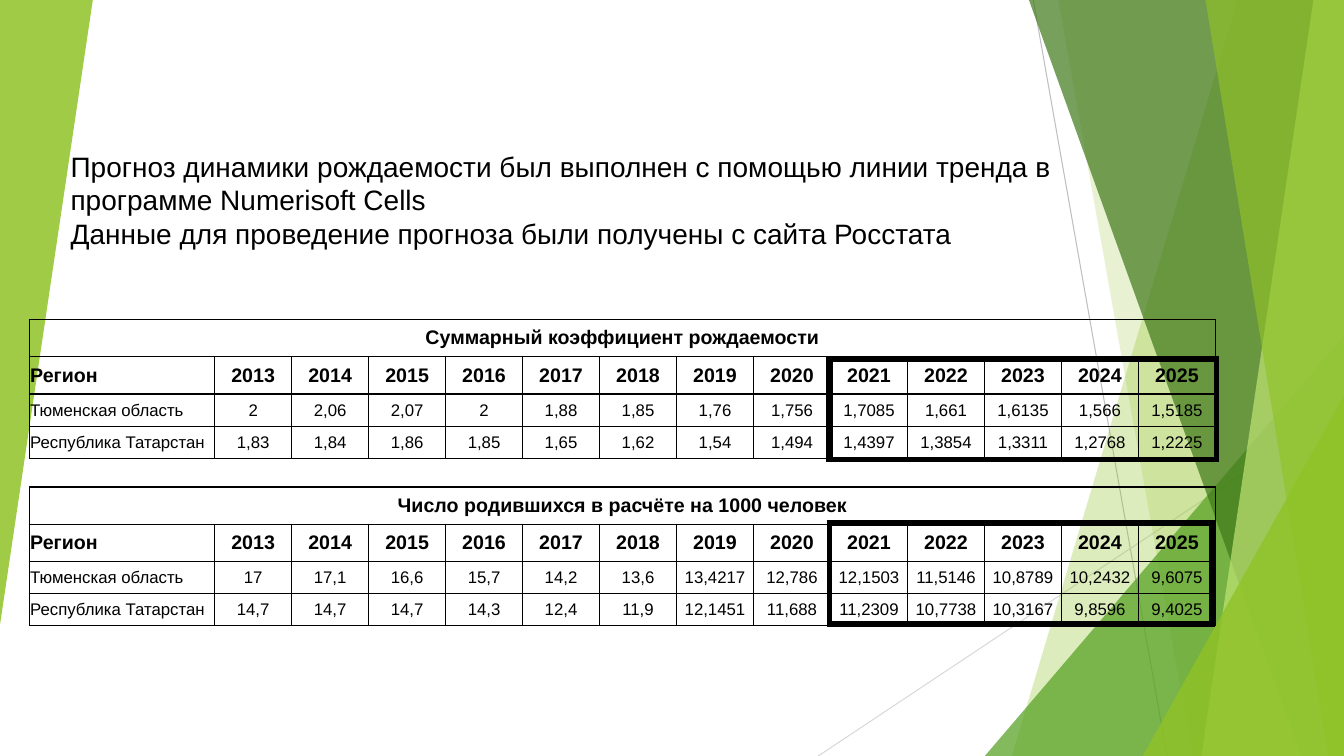
from lxml import etree
from pptx import Presentation
from pptx.dml.color import RGBColor
from pptx.enum.shapes import MSO_CONNECTOR
from pptx.enum.text import MSO_ANCHOR, PP_ALIGN
from pptx.oxml.ns import qn
from pptx.util import Cm, Pt

STRAIGHT = MSO_CONNECTOR.STRAIGHT
MIDDLE = MSO_ANCHOR.MIDDLE
LEFT, CENTER = PP_ALIGN.LEFT, PP_ALIGN.CENTER

BLACK = RGBColor(0x00, 0x00, 0x00)
LIME = RGBColor(0x90, 0xC2, 0x26)
GREEN = RGBColor(0x54, 0xA0, 0x21)
FOREST = RGBColor(0x3F, 0x78, 0x19)
PALE_LIME = RGBColor(0xC0, 0xE4, 0x74)
GREY = RGBColor(0xBF, 0xBF, 0xBF)
LIGHT_GREY = RGBColor(0xD9, 0xD9, 0xD9)

FONT = "Arial"
THIN, THICK = 1, 4.5
WIDTH, HEIGHT = 33.87, 19.05


def set_borders(cell, left=THIN, right=THIN, top=THIN, bottom=THIN):
    """Draw black cell borders, widths in points, and leave the cell unfilled."""
    cell.fill.background()
    properties = cell._tc.get_or_add_tcPr()
    sides = (("a:lnL", left), ("a:lnR", right), ("a:lnT", top), ("a:lnB", bottom))
    for position, (tag, points) in enumerate(sides):
        border = etree.Element(qn(tag), w=str(Pt(points)))
        fill = etree.SubElement(border, qn("a:solidFill"))
        etree.SubElement(fill, qn("a:srgbClr"), val=str(BLACK))
        properties.insert(position, border)


def add_plain_table(rows, columns, left, top, width, height):
    """Add a table without banding or header styling."""
    table = slide.shapes.add_table(
        rows, columns, Cm(left), Cm(top), Cm(width), Cm(height)).table
    table.first_row = False
    table.horz_banding = False
    return table


prs = Presentation()
prs.slide_width, prs.slide_height = Cm(WIDTH), Cm(HEIGHT)
slide = prs.slides.add_slide(prs.slide_layouts[6])

# Background rays and facets
rays = [
    (26.04, 0, 29.41, HEIGHT, GREY),
    (WIDTH, 10.24, 20.62, HEIGHT, LIGHT_GREY),
]
for x1, y1, x2, y2, color in rays:
    ray = slide.shapes.add_connector(STRAIGHT, Cm(x1), Cm(y1), Cm(x2), Cm(y2))
    ray.line.color.rgb = color
    ray.line.width = Pt(0.75)
    etree.SubElement(ray._element.spPr, qn("a:effectLst"))

TOP_RIGHT, BOTTOM_RIGHT = (WIDTH, 0), (WIDTH, HEIGHT)
facets = [
    ([(31.19, 0), TOP_RIGHT, BOTTOM_RIGHT, (25.5, HEIGHT)], LIME, 30),
    ([(26.67, 0), TOP_RIGHT, BOTTOM_RIGHT, (30.05, HEIGHT)], LIME, 20),
    ([(24.82, HEIGHT), (WIDTH, 8.46), BOTTOM_RIGHT], GREEN, 72),
    ([(25.93, 0), TOP_RIGHT, BOTTOM_RIGHT, (32.79, HEIGHT)], FOREST, 70),
    ([(33.1, 0), TOP_RIGHT, BOTTOM_RIGHT, (30.28, HEIGHT)], PALE_LIME, 70),
    ([(30.38, 0), TOP_RIGHT, BOTTOM_RIGHT, (33.48, HEIGHT)], LIME, 65),
    ([(28.8, HEIGHT), (WIDTH, 9.98), BOTTOM_RIGHT], LIME, 80),
    ([(2.34, 0), (0, 15.75), (0, 0)], LIME, 85),
]
for corners, color, opacity in facets:
    points = [(Cm(x), Cm(y)) for x, y in corners]
    outline = slide.shapes.build_freeform(*points[0])
    outline.add_line_segments(points[1:], close=True)
    facet = outline.convert_to_shape()
    facet.shadow.inherit = False
    facet.line.fill.background()
    facet.fill.solid()
    facet.fill.fore_color.rgb = color
    color_node = facet._element.spPr.find(".//" + qn("a:srgbClr"))
    etree.SubElement(color_node, qn("a:alpha"), val=str(opacity * 1000))

# Explanation of the forecast
explanation = slide.shapes.add_textbox(Cm(1.65), Cm(3.63), Cm(25.45), Cm(2.67)).text_frame
explanation.word_wrap = True
explanation.margin_left = explanation.margin_right = Cm(0.13)
explanation.margin_top = explanation.margin_bottom = Cm(0.13)
explanation.text = (
    "Прогноз динамики рождаемости был выполнен с помощью линии тренда в "
    "программе Numerisoft Cells\n"
    "Данные для проведение прогноза были получены с сайта Росстата")
for paragraph in explanation.paragraphs:
    paragraph.font.name = FONT
    paragraph.font.size = Pt(20)
    paragraph.font.color.rgb = BLACK

# Birth rate tables
TYUMEN, TATARSTAN = "Тюменская область", "Республика Татарстан"
HEADER = ["Регион"] + [str(year) for year in range(2013, 2026)]
FORECAST_COLUMN = HEADER.index("2021")
REGION_WIDTH, YEAR_WIDTH = 4.67, 1.94
ROW_HEIGHTS = (0.94, 0.94, 0.81, 0.81)

birth_tables = [
    (8.05, "Суммарный коэффициент рождаемости", True, [
        [TYUMEN, "2", "2,06", "2,07", "2", "1,88", "1,85", "1,76", "1,756",
         "1,7085", "1,661", "1,6135", "1,566", "1,5185"],
        [TATARSTAN, "1,83", "1,84", "1,86", "1,85", "1,65", "1,62", "1,54", "1,494",
         "1,4397", "1,3854", "1,3311", "1,2768", "1,2225"],
    ]),
    (12.27, "Число родившихся в расчёте на 1000 человек", False, [
        [TYUMEN, "17", "17,1", "16,6", "15,7", "14,2", "13,6", "13,4217", "12,786",
         "12,1503", "11,5146", "10,8789", "10,2432", "9,6075"],
        [TATARSTAN, "14,7", "14,7", "14,7", "14,3", "12,4", "11,9", "12,1451", "11,688",
         "11,2309", "10,7738", "10,3167", "9,8596", "9,4025"],
    ]),
]
for top, heading, forecast_divider, regions in birth_tables:
    table = add_plain_table(
        len(ROW_HEIGHTS), len(HEADER), 0.74, top,
        REGION_WIDTH + YEAR_WIDTH * (len(HEADER) - 1), sum(ROW_HEIGHTS))
    for index, column in enumerate(table.columns):
        column.width = Cm(YEAR_WIDTH if index else REGION_WIDTH)
    for row, row_height in zip(table.rows, ROW_HEIGHTS):
        row.height = Cm(row_height)
    table.cell(0, 0).merge(table.cell(0, len(HEADER) - 1))
    heading_row = [heading] + [""] * (len(HEADER) - 1)
    for r, values in enumerate([heading_row, HEADER] + regions):
        for c, value in enumerate(values):
            cell = table.cell(r, c)
            cell.margin_left = cell.margin_right = Cm(0.02)
            cell.margin_top = cell.margin_bottom = Cm(0.02)
            cell.vertical_anchor = MIDDLE
            divided = forecast_divider and r > 0
            set_borders(
                cell,
                left=THICK if divided and c == FORECAST_COLUMN else THIN,
                right=THICK if divided and c == FORECAST_COLUMN - 1 else THIN)
            cell.text = value
            paragraph = cell.text_frame.paragraphs[0]
            paragraph.alignment = LEFT if r > 0 and c == 0 else CENTER
            paragraph.font.name = FONT
            paragraph.font.size = Pt(14 if r < 2 else 12)
            paragraph.font.bold = r < 2
            paragraph.font.color.rgb = BLACK

# Frames around the forecast years
for left, top, width in [(20.88, 9.04, 9.78), (20.9, 13.18, 9.65)]:
    frame = add_plain_table(1, 1, left, top, width, 2.54)
    set_borders(frame.cell(0, 0), THICK, THICK, THICK, THICK)

prs.save("out.pptx")
